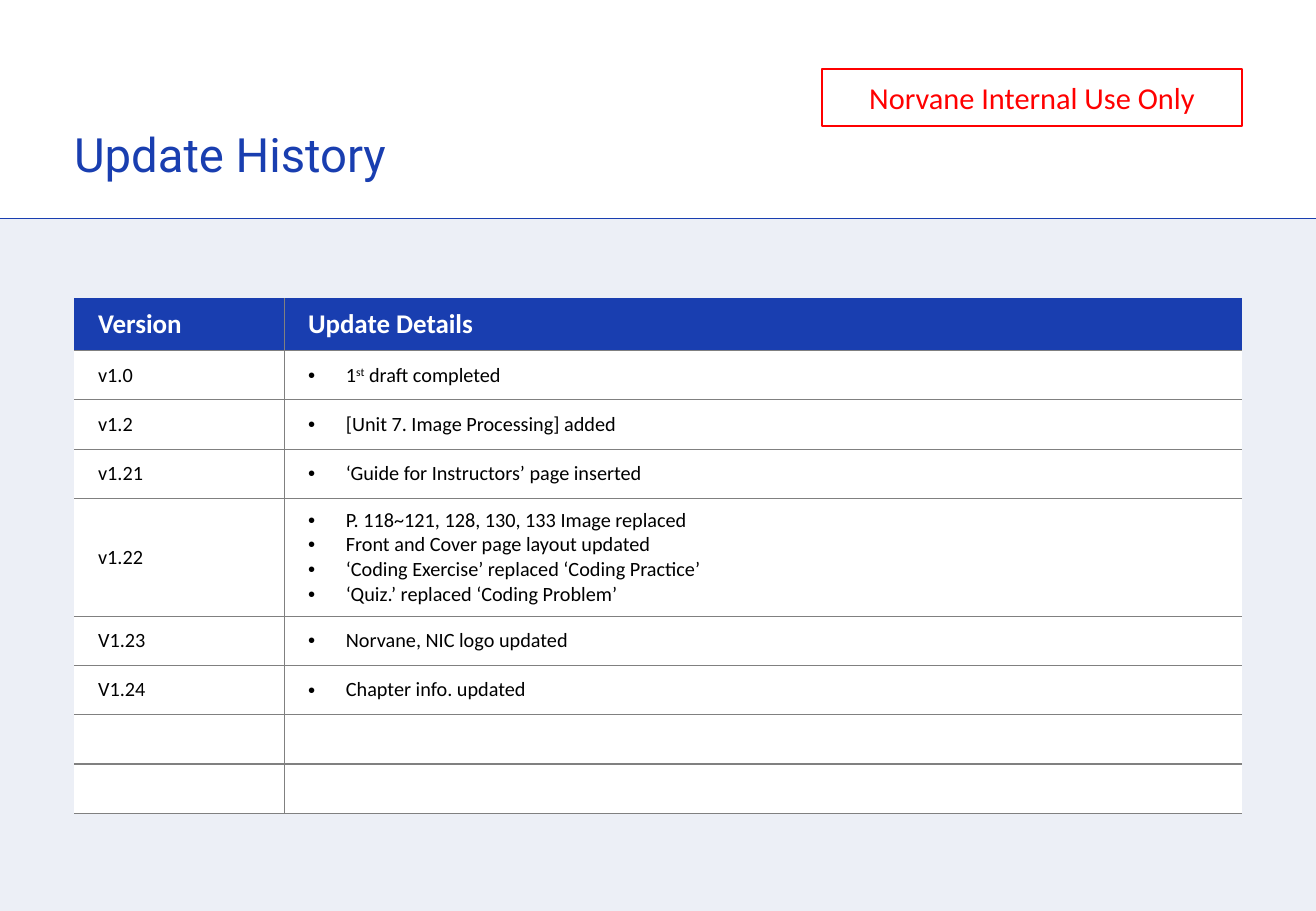
import pptx
import pptx.dml.color
import pptx.enum.shapes
import pptx.enum.text
import pptx.oxml
import pptx.oxml.ns
import pptx.util
from pptx.util import Cm

COLORS = {
    "blue": "193EB0", "pale": "ECEFF6", "white": "FFFFFF",
    "black": "000000", "grey": "808080", "red": "FF0000",
}
PAGE_WIDTH, PAGE_HEIGHT = Cm(27.51), Cm(19.05)
LEFT, CONTENT_WIDTH = Cm(1.55), Cm(24.41)
BAND_TOP = Cm(4.57)
PLAIN_TABLE_STYLE = "{2D5ABB26-0587-4C30-8999-92F81FD0307C}"
ANCHOR = pptx.enum.text.MSO_ANCHOR
ALIGN = pptx.enum.text.PP_ALIGN

TITLE_FONT = {"name": "Roboto", "size": pptx.util.Pt(28), "bold": False}
NOTICE_FONT = {"name": "Calibri", "size": pptx.util.Pt(18)}
HEAD_FONT = {"name": "Calibri", "size": pptx.util.Pt(16), "bold": True}
BODY_FONT = {"name": "Calibri", "size": pptx.util.Pt(12), "bold": False}
CELL_FORMAT = {
    "vertical_anchor": ANCHOR.MIDDLE,
    "margin_left": Cm(0.5), "margin_right": Cm(0.5),
    "margin_top": Cm(0.2), "margin_bottom": Cm(0.2),
}

HEADINGS = ["Version", "Update Details"]
# Each detail is a list of (text, is superscript) parts
UPDATES = [
    ("v1.0", [[("1", False), ("st", True), (" draft completed", False)]]),
    ("v1.2", [[("[Unit 7. Image Processing] added", False)]]),
    ("v1.21", [[("‘Guide for Instructors’ page inserted", False)]]),
    ("v1.22", [
        [("P. 118~121, 128, 130, 133 Image replaced", False)],
        [("Front and Cover page layout updated", False)],
        [("‘Coding Exercise’ replaced ‘Coding Practice’", False)],
        [("‘Quiz.’ replaced ‘Coding Problem’", False)],
    ]),
    ("V1.23", [[("Norvane, NIC logo updated", False)]]),
    ("V1.24", [[("Chapter info. updated", False)]]),
    ("", []),
    ("", []),
]


def rgb(color):
    return pptx.dml.color.RGBColor.from_string(COLORS[color])


def apply_format(target, values):
    for name, value in values.items():
        setattr(target, name, value)


def add_span(para, text, font, color, superscript=False):
    span = para.add_run()
    span.text = text
    apply_format(span.font, font)
    span.font.color.rgb = rgb(color)
    if superscript:
        span.font._element.set("baseline", "30000")


def add_rectangle(page, position, fill=None, line=None):
    box = page.shapes.add_shape(pptx.enum.shapes.MSO_SHAPE.RECTANGLE, *position)
    box.shadow.inherit = False
    if fill:
        box.fill.solid()
        box.fill.fore_color.rgb = rgb(fill)
    else:
        box.fill.background()
    if line:
        box.line.color.rgb = rgb(line)
        box.line.width = pptx.util.Pt(1)
    else:
        box.line.fill.background()
    return box


def add_title(page, text):
    title = page.shapes.title
    apply_format(title, {"left": LEFT, "top": Cm(2.62),
                         "width": CONTENT_WIDTH, "height": Cm(1.19)})
    apply_format(title.text_frame, {
        "vertical_anchor": ANCHOR.BOTTOM, "word_wrap": True,
        "auto_size": pptx.enum.text.MSO_AUTO_SIZE.NONE,
        "margin_left": 0, "margin_right": 0, "margin_top": 0, "margin_bottom": 0,
    })
    para = title.text_frame.paragraphs[0]
    para.alignment = ALIGN.LEFT
    add_span(para, text, TITLE_FONT, "blue")


def add_rule(page):
    rule = page.shapes.add_connector(
        pptx.enum.shapes.MSO_CONNECTOR.STRAIGHT, 0, BAND_TOP, PAGE_WIDTH, BAND_TOP)
    rule.line.color.rgb = rgb("blue")
    rule.line.width = pptx.util.Pt(0.5)
    rule._element.spPr.append(
        pptx.oxml.parse_xml(f"<a:effectLst {pptx.oxml.ns.nsdecls('a')}/>"))


def add_notice(page, text):
    box = add_rectangle(page, (Cm(17.19), Cm(1.45), Cm(8.77), Cm(1.18)), line="red")
    apply_format(box.text_frame, {"vertical_anchor": ANCHOR.MIDDLE, "word_wrap": True})
    para = box.text_frame.paragraphs[0]
    para.alignment = ALIGN.CENTER
    add_span(para, text, NOTICE_FONT, "red")


def format_cell(cell, fill, sides):
    apply_format(cell, CELL_FORMAT)
    cell.fill.solid()
    cell.fill.fore_color.rgb = rgb(fill)
    properties = cell._tc.get_or_add_tcPr()
    for index, side in enumerate(sides):
        properties.insert(index, pptx.oxml.parse_xml(
            f'<a:ln{side} {pptx.oxml.ns.nsdecls("a")} w="9525"><a:solidFill>'
            f'<a:srgbClr val="{COLORS["grey"]}"/></a:solidFill></a:ln{side}>'))


def add_bullet(para):
    properties = para._p.get_or_add_pPr()
    properties.set("marL", str(Cm(0.79)))
    properties.set("indent", str(-Cm(0.79)))
    for tag in ('buFont {} typeface="Arial"', 'buChar {} char="•"'):
        properties.append(pptx.oxml.parse_xml(
            f"<a:{tag.format(pptx.oxml.ns.nsdecls('a'))}/>"))


def fill_cell(cell, lines, font, color, bulleted=False):
    frame = cell.text_frame
    for index, parts in enumerate(lines):
        para = frame.add_paragraph() if index else frame.paragraphs[0]
        if bulleted:
            add_bullet(para)
        for text, superscript in parts:
            add_span(para, text, font, color, superscript)
    if not lines:
        # An empty cell keeps the body size, so its row stays low
        frame.paragraphs[0]._p.append(pptx.oxml.parse_xml(
            f'<a:endParaRPr {pptx.oxml.ns.nsdecls("a")} sz="1200"/>'))


def add_history(page):
    heights = [Cm(1.06)] + [Cm(2.44) if len(details) > 1 else Cm(1.03)
                            for version, details in UPDATES]
    frame = page.shapes.add_table(
        len(heights), len(HEADINGS), LEFT, Cm(6.24), CONTENT_WIDTH, sum(heights))
    table = frame.table
    apply_format(table, {"first_row": False, "horz_banding": False})
    table._tbl.tblPr.find(pptx.oxml.ns.qn("a:tableStyleId")).text = PLAIN_TABLE_STYLE
    for column, width in zip(table.columns, (Cm(4.39), Cm(20.02))):
        column.width = width
    for row, height in zip(table.rows, heights):
        row.height = height

    # Heading row
    for cell, heading, side in zip(table.rows[0].cells, HEADINGS, "RL"):
        format_cell(cell, "blue", [side, "B"])
        fill_cell(cell, [[(heading, False)]], HEAD_FONT, "white")

    # Version rows
    for row, (version, details) in enumerate(UPDATES, 1):
        version_cell, detail_cell = table.rows[row].cells
        format_cell(version_cell, "white", "RTB")
        fill_cell(version_cell, [[(version, False)]] if version else [],
                  BODY_FONT, "black")
        format_cell(detail_cell, "white", "LTB")
        fill_cell(detail_cell, details, BODY_FONT, "black", bulleted=True)


def main():
    deck = pptx.Presentation()
    apply_format(deck, {"slide_width": PAGE_WIDTH, "slide_height": PAGE_HEIGHT})
    page = deck.slides.add_slide(deck.slide_layouts.get_by_name("Title Only"))

    # Background band and heading
    add_rectangle(page, (0, BAND_TOP, PAGE_WIDTH, PAGE_HEIGHT - BAND_TOP), fill="pale")
    add_rule(page)
    add_title(page, "Update History")

    # Content
    add_history(page)
    add_notice(page, "Norvane Internal Use Only")
    deck.save("out.pptx")


if __name__ == "__main__":
    main()
